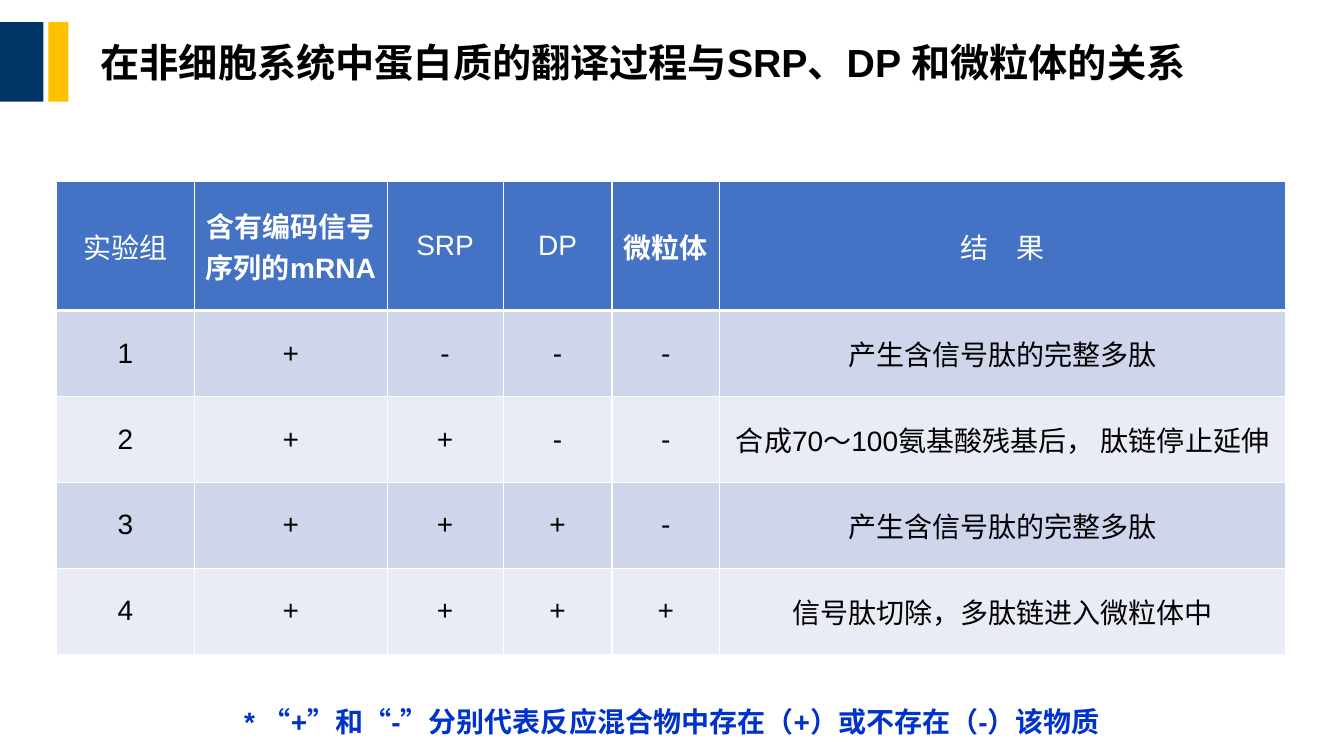
from dataclasses import dataclass

from lxml import etree
from pptx import Presentation, util as u
from pptx.dml.color import RGBColor
from pptx.enum import lang, shapes, text
from pptx.oxml import ns

COLORS = {
    "navy": "003366", "gold": "FFC000", "black": "000000", "white": "FFFFFF",
    "header": "4472C4", "odd": "CFD5EA", "even": "E9EBF5", "note": "0033CC",
}
WIDTH, HEIGHT = u.Inches(13.33), u.Inches(7.5)


@dataclass(frozen=True)
class Box:
    """A rectangle in percent of the slide's width and height."""
    left: float
    top: float
    width: float
    height: float

    def emu(self) -> tuple[int, int, int, int]:
        return across(self.left), down(self.top), across(self.width), down(self.height)


@dataclass(frozen=True)
class Bar:
    box: Box
    color: str


@dataclass(frozen=True)
class Column:
    heading: str
    width: float
    entries: tuple[str, ...]
    bold: bool = False


BARS = [Bar(Box(0, 2.93, 3.23, 10.53), "navy"), Bar(Box(3.6, 2.93, 1.5, 10.53), "gold")]
TITLE_BOX = Box(6.75, 2.93, 90.77, 10.53)
NOTE_BOX = Box(9.6, 92.53, 80.8, 5.87)
ROWS = [17.07] + [11.37] * 4
COLUMNS = [
    Column("实验组", 10.28, ("1", "2", "3", "4")),
    Column("含有编码信号序列的mRNA", 14.33, ("+", "+", "+", "+"), True),
    Column("SRP", 8.63, ("-", "+", "+", "+")),
    Column("DP", 8.1, ("-", "-", "+", "+")),
    Column("微粒体", 8.03, ("-", "-", "-", "+"), True),
    Column("结　果", 42.09, (
        "产生含信号肽的完整多肽",
        "合成70～100氨基酸残基后， 肽链停止延伸",
        "产生含信号肽的完整多肽",
        "信号肽切除，多肽链进入微粒体中",
    )),
]
TABLE_BOX = Box(4.2, 24, sum(c.width for c in COLUMNS), sum(ROWS))


def across(share: float) -> int:
    return round(WIDTH * share / 100)


def down(share: float) -> int:
    return round(HEIGHT * share / 100)


def write(tf, content: str, *, size: float = 20, color: str = "black",
          bold: bool = False, align=text.PP_ALIGN.CENTER) -> None:
    p = tf.paragraphs[0]
    p.alignment = align
    r = p.add_run()
    r.text = content
    r.font.name, r.font.size, r.font.bold = "Arial", u.Pt(size), bold
    r.font.language_id = lang.MSO_LANGUAGE_ID.SIMPLIFIED_CHINESE
    r.font.color.rgb = RGBColor.from_string(COLORS[color])


def add_bar(s, bar: Bar) -> None:
    sp = s.shapes.add_shape(shapes.MSO_SHAPE.RECTANGLE, *bar.box.emu())
    sp.shadow.inherit = False
    sp.fill.solid()
    sp.fill.fore_color.rgb = RGBColor.from_string(COLORS[bar.color])
    sp.line.fill.background()


def add_text(s, box: Box, content: str, **fmt) -> None:
    tf = s.shapes.add_textbox(*box.emu()).text_frame
    tf.word_wrap = True
    tf.vertical_anchor = text.MSO_ANCHOR.MIDDLE
    write(tf, content, **fmt)


def set_borders(cell, bottom: float) -> None:
    tc_pr = cell._tc.get_or_add_tcPr()
    for side, points in {"L": 1, "R": 1, "T": 1, "B": bottom}.items():
        ln = etree.SubElement(tc_pr, ns.qn(f"a:ln{side}"), w=str(u.Pt(points)))
        fill = etree.SubElement(ln, ns.qn("a:solidFill"))
        etree.SubElement(fill, ns.qn("a:srgbClr"), val=COLORS["white"])


def fill_cell(cell, row: int, content: str, bold: bool) -> None:
    is_header = row == 0
    set_borders(cell, 3 if is_header else 1)
    cell.margin_left = cell.margin_right = cell.margin_top = cell.margin_bottom = 0
    cell.vertical_anchor = text.MSO_ANCHOR.MIDDLE
    shade = "header" if is_header else "odd" if row % 2 else "even"
    cell.fill.solid()
    cell.fill.fore_color.rgb = RGBColor.from_string(COLORS[shade])
    write(cell.text_frame, content, color="white" if is_header else "black",
          bold=is_header and bold)


def add_results(s) -> None:
    table = s.shapes.add_table(len(ROWS), len(COLUMNS), *TABLE_BOX.emu()).table
    table.first_row = table.horz_banding = False
    for i, height in enumerate(ROWS):
        table.rows[i].height = down(height)
    for j, column in enumerate(COLUMNS):
        table.columns[j].width = across(column.width)
        for i, content in enumerate((column.heading, *column.entries)):
            fill_cell(table.cell(i, j), i, content, column.bold)


def main() -> None:
    """Build the slide on protein translation in a cell-free system."""
    prs = Presentation()
    prs.slide_width, prs.slide_height = WIDTH, HEIGHT
    s = prs.slides.add_slide(prs.slide_layouts[6])
    for bar in BARS:
        add_bar(s, bar)
    add_text(s, TITLE_BOX, "在非细胞系统中蛋白质的翻译过程与SRP、DP 和微粒体的关系",
             size=28, bold=True, align=text.PP_ALIGN.LEFT)
    add_results(s)
    add_text(s, NOTE_BOX, "* “+”和“-”分别代表反应混合物中存在（+）或不存在（-）该物质",
             color="note", bold=True)
    prs.save("out.pptx")


if __name__ == "__main__":
    main()
